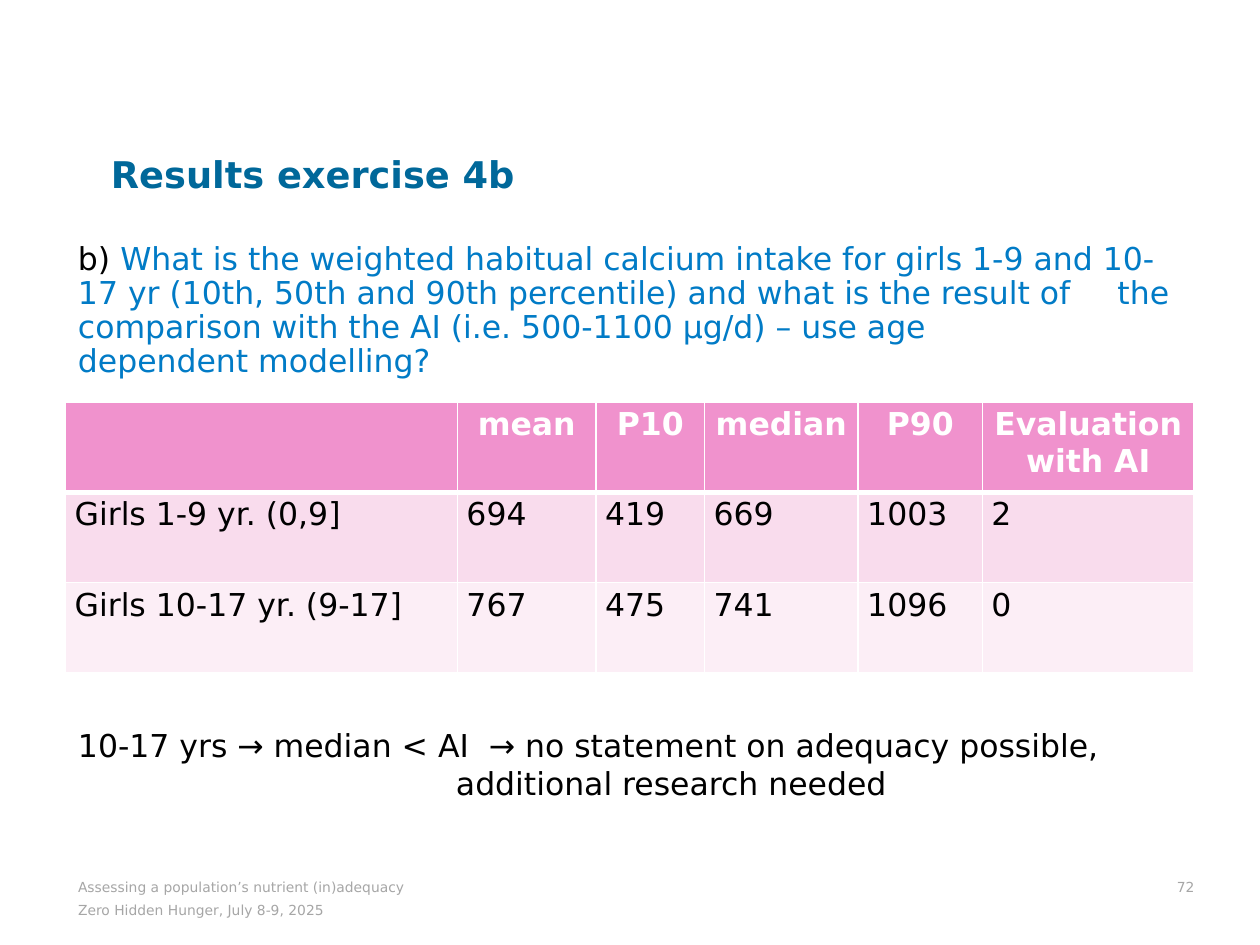
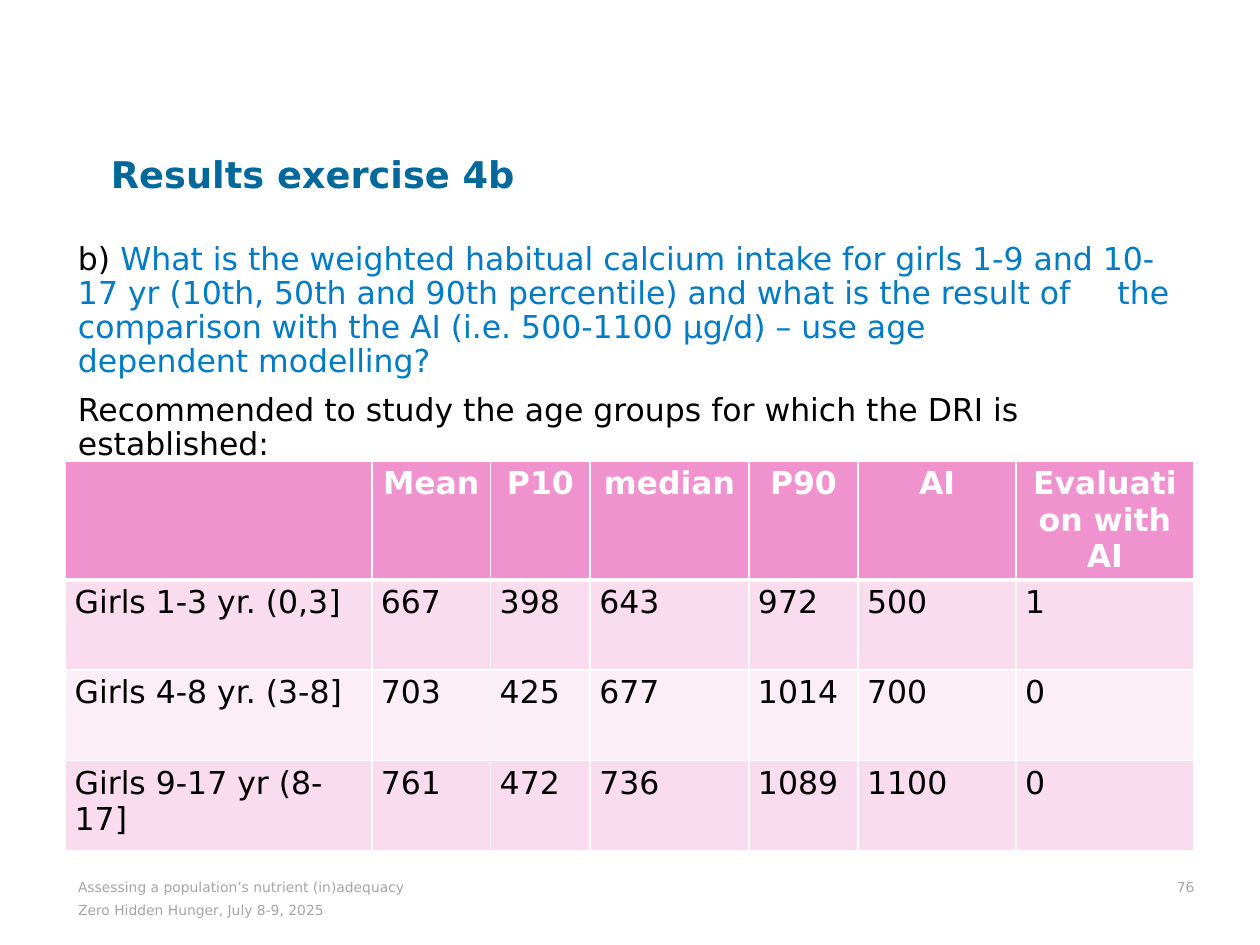
from lxml import etree
from pptx import Presentation
from pptx.dml.color import RGBColor
from pptx.enum.text import MSO_ANCHOR, PP_ALIGN
from pptx.oxml.ns import qn
from pptx.util import Pt

LEFT, CENTER, RIGHT = PP_ALIGN.LEFT, PP_ALIGN.CENTER, PP_ALIGN.RIGHT
TOP, BOTTOM = MSO_ANCHOR.TOP, MSO_ANCHOR.BOTTOM

WHITE = RGBColor(0xFF, 0xFF, 0xFF)
BLACK = RGBColor(0x00, 0x00, 0x00)
GREY = RGBColor(0xA6, 0xA6, 0xA6)
TITLE_BLUE = RGBColor(0x00, 0x68, 0x9A)
QUESTION_BLUE = RGBColor(0x01, 0x7B, 0xC6)
HEADER_PINK = RGBColor(0xF0, 0x92, 0xCD)
BAND_PINKS = (RGBColor(0xF9, 0xDC, 0xED), RGBColor(0xFC, 0xEE, 0xF6))

FONT = "DejaVu Sans"
MARGIN = 37.5
CONTENT_WIDTH = 645
ROW_HEIGHT = 51.6
QUESTION_SPACING = 0.9
QUESTION = (
    "What is the weighted habitual calcium intake for girls 1-9 and 10-\t17 yr "
    "(10th, 50th and 90th percentile) and what is the result of \tthe "
    "comparison with the AI (i.e. 500-1100 µg/d) – use age \tdependent modelling?"
)


def write(paragraph, text, size=18, color=BLACK, bold=False, align=LEFT):
    paragraph.alignment = align
    run = paragraph.add_run()
    run.text = text
    run.font.name = FONT
    run.font.size = Pt(size)
    run.font.bold = bold
    run.font.color.rgb = color


class Deck:
    def __init__(self):
        self.presentation = Presentation()
        self.presentation.slide_width = Pt(720)
        self.presentation.slide_height = Pt(540)
        self.slide = None

    def add_slide(self, title, page):
        layout = self.presentation.slide_layouts[5]
        self.slide = self.presentation.slides.add_slide(layout)
        heading = self.slide.shapes.title
        heading.left, heading.top = Pt(56.2), Pt(83.2)
        heading.width, heading.height = Pt(620), Pt(34)
        heading.text_frame.vertical_anchor = TOP
        write(heading.text_frame.paragraphs[0], title, 21, TITLE_BLUE, True)
        self.footer("Assessing a population’s nutrient (in)adequacy", MARGIN, 490, 25.2, BOTTOM)
        self.footer("Zero Hidden Hunger, July 8-9, 2025", MARGIN, 515.5, 21, TOP, inset_top=0)
        self.footer(page, 387, 490, 25.2, BOTTOM, align=RIGHT, inset_right=0)

    def box(self, left, top, width, height):
        frame = self.slide.shapes.add_textbox(Pt(left), Pt(top), Pt(width), Pt(height)).text_frame
        frame.word_wrap = True
        return frame

    def footer(self, text, left, top, height, anchor, align=LEFT, inset_top=3.6, inset_right=7.2):
        frame = self.box(left, top, 295.5, height)
        frame.vertical_anchor = anchor
        frame.margin_top, frame.margin_right = Pt(inset_top), Pt(inset_right)
        write(frame.paragraphs[0], text, 7.9, GREY, align=align)

    def question(self, label, text, remark=None):
        frame = self.box(MARGIN, 135.4, CONTENT_WIDTH, 128 if remark else 90)
        asked = frame.paragraphs[0]
        tabs = etree.SubElement(asked._p.get_or_add_pPr(), qn("a:tabLst"))
        etree.SubElement(tabs, qn("a:tab"), pos=str(Pt(594)), algn="l")
        asked.line_spacing = QUESTION_SPACING
        write(asked, label)
        write(asked, text, color=QUESTION_BLUE)
        if remark:
            advice = frame.add_paragraph()
            advice.line_spacing = QUESTION_SPACING
            advice.space_before = Pt(8.5)
            write(advice, remark)

    def conclusion(self, text, continuation):
        frame = self.box(MARGIN, 411.4, CONTENT_WIDTH, 51)
        write(frame.paragraphs[0], text)
        second = frame.add_paragraph()
        second._p.get_or_add_pPr().set("marL", str(Pt(216)))
        write(second, continuation)

    def borders(self, cell, top, bottom):
        properties = cell._tc.get_or_add_tcPr()
        for side, width in (("L", 1), ("R", 1), ("T", top), ("B", bottom)):
            line = etree.SubElement(properties, qn(f"a:ln{side}"), w=str(Pt(width)))
            fill = etree.SubElement(line, qn("a:solidFill"))
            etree.SubElement(fill, qn("a:srgbClr"), val=str(WHITE))

    def table(self, top, widths, header_height, rows):
        height = header_height + ROW_HEIGHT * (len(rows) - 1)
        grid = self.slide.shapes.add_table(
            len(rows), len(widths), Pt(MARGIN), Pt(top), Pt(sum(widths)), Pt(height)
        ).table
        for column, width in zip(grid.columns, widths):
            column.width = Pt(width)
        for r, values in enumerate(rows):
            header = r == 0
            grid.rows[r].height = Pt(header_height if header else ROW_HEIGHT)
            for c, value in enumerate(values):
                cell = grid.cell(r, c)
                self.borders(cell, 3 if r == 1 else 1, 3 if header else 1)
                cell.fill.solid()
                cell.fill.fore_color.rgb = HEADER_PINK if header else BAND_PINKS[(r - 1) % 2]
                cell.margin_left = cell.margin_right = Pt(5.2)
                cell.margin_top, cell.margin_bottom = Pt(2.6), Pt(0.6)
                write(
                    cell.text_frame.paragraphs[0],
                    value,
                    color=WHITE if header else BLACK,
                    bold=header,
                    align=CENTER if header else LEFT,
                )


def main():
    deck = Deck()

    deck.add_slide("Results exercise 4b", "72")
    deck.question("b) ", QUESTION)
    deck.table(229.7, (223.9, 79.2, 62, 87.8, 71, 121), ROW_HEIGHT, (
        ("", "mean", "P10", "median", "P90", "Evaluation with AI"),
        ("Girls 1-9 yr. (0,9]", "694", "419", "669", "1003", "2"),
        ("Girls 10-17 yr. (9-17]", "767", "475", "741", "1096", "0"),
    ))
    deck.conclusion(
        "10-17 yrs → median < AI  → no statement on adequacy possible,",
        "additional research needed",
    )

    deck.add_slide("Results exercise 4b", "76")
    deck.question(
        "b) ", QUESTION, "Recommended to study the age groups for which the DRI is established:"
    )
    deck.table(263.4, (175, 67.9, 56.9, 90.7, 62.4, 90.3, 101.5), 67, (
        ("", "Mean", "P10", "median", "P90", "AI", "Evaluation with AI"),
        ("Girls 1-3 yr. (0,3]", "667", "398", "643", "972", "500", "1"),
        ("Girls 4-8 yr. (3-8]", "703", "425", "677", "1014", "700", "0"),
        ("Girls 9-17 yr (8-17]", "761", "472", "736", "1089", "1100", "0"),
    ))

    deck.presentation.save("out.pptx")


if __name__ == "__main__":
    main()
